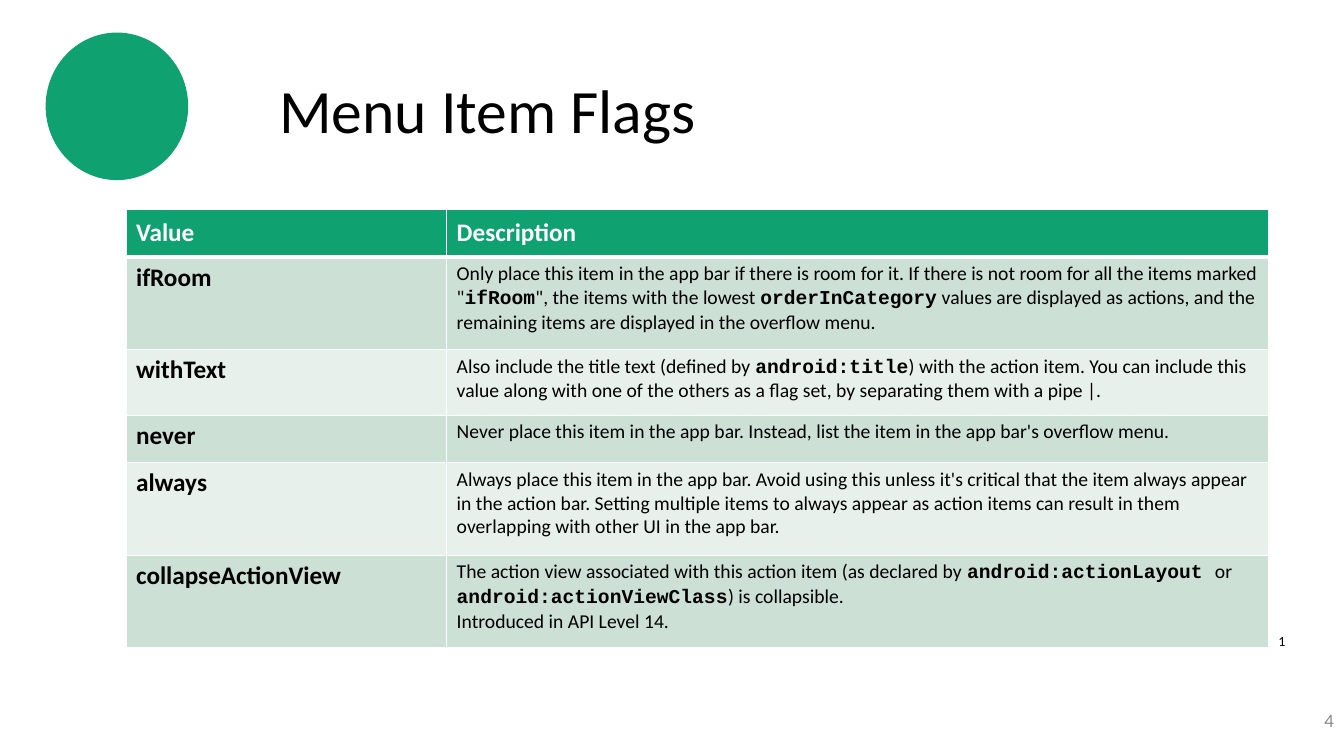
"""Build the Menu Item Flags slide: a title, a green circle and a table of flag values."""
from lxml.etree import SubElement
from pptx import Presentation
from pptx.dml.color import RGBColor
from pptx.enum.shapes import MSO_SHAPE as SHAPE
from pptx.enum.text import MSO_ANCHOR as ANCHOR, PP_ALIGN as ALIGN
from pptx.oxml.ns import qn
from pptx.util import Inches, Pt

COLORS = {"green": "10A170", "dark_band": "CCE0D5", "light_band": "E7F0EB",
          "white": "FFFFFF", "black": "000000", "grey": "888888"}

FLAGS = [
    ("ifRoom", 0.92,
     "Only place this item in the app bar if there is room for it. If there is not room for all "
     "the items marked \"`ifRoom`\", the items with the lowest `orderInCategory` values are "
     "displayed as actions, and the remaining items are displayed in the overflow menu."),
    ("withText", 0.65,
     "Also include the title text (defined by `android:title`) with the action item. You can "
     "include this value along with one of the others as a flag set, by separating them with "
     "a pipe |."),
    ("never", 0.47,
     "Never place this item in the app bar. Instead, list the item in the app bar's overflow menu."),
    ("always", 0.92,
     "Always place this item in the app bar. Avoid using this unless it's critical that the item "
     "always appear in the action bar. Setting multiple items to always appear as action items "
     "can result in them overlapping with other UI in the app bar."),
    ("collapseActionView", 0.92,
     "The action view associated with this action item (as declared by `android:actionLayout `or "
     "`android:actionViewClass`) is collapsible.\nIntroduced in API Level 14."),
]


def add_text(p, text, size, color="black", bold=False, font="Calibri"):
    """Add runs to a paragraph; parts between backticks are bold code."""
    for n, line in enumerate(text.split("\n")):
        if n:
            p.add_line_break()
        for i, part in enumerate(line.split("`")):
            r = p.add_run()
            r.text = part
            r.font.size = Pt(size)
            r.font.bold = bold or i % 2 == 1
            r.font.name = "Courier New" if i % 2 else font
            r.font.color.rgb = RGBColor.from_string(COLORS[color])


def style_cell(cell, fill, bottom=1):
    """Give a cell its white borders and its fill."""
    tcPr = cell._tc.get_or_add_tcPr()
    for side, width in (("lnL", 1), ("lnR", 1), ("lnT", 1), ("lnB", bottom)):
        ln = SubElement(tcPr, qn(f"a:{side}"), w=str(Pt(width)))
        SubElement(SubElement(ln, qn("a:solidFill")), qn("a:srgbClr"), val=COLORS["white"])
    cell.fill.solid()
    cell.fill.fore_color.rgb = RGBColor.from_string(COLORS[fill])


prs = Presentation()
prs.slide_width, prs.slide_height = Inches(13.33), Inches(7.5)
s = prs.slides.add_slide(prs.slide_layouts[6])

circle = s.shapes.add_shape(SHAPE.OVAL, Inches(0.46), Inches(0.33), Inches(1.4), Inches(1.45))
circle.shadow.inherit = False
circle.fill.solid()
circle.fill.fore_color.rgb = circle.line.color.rgb = RGBColor.from_string(COLORS["green"])
circle.line.width = Pt(1)

table = s.shapes.add_table(len(FLAGS) + 1, 2, Inches(1.25), Inches(2.08),
                           Inches(11.33), Inches(4.33)).table
for column, width in zip(table.columns, (3.18, 8.15)):
    column.width = Inches(width)

table.rows[0].height = Inches(0.47)
for cell, heading in zip(table.rows[0].cells, ("Value", "Description")):
    style_cell(cell, "green", bottom=3)
    cell.vertical_anchor = ANCHOR.MIDDLE
    add_text(cell.text_frame.paragraphs[0], heading, 18, "white", bold=True)

for n, (value, height, description) in enumerate(FLAGS, 1):
    row = table.rows[n]
    row.height = Inches(height)
    for cell in row.cells:
        style_cell(cell, "dark_band" if n % 2 else "light_band")
    add_text(row.cells[0].text_frame.paragraphs[0], value, 18, bold=True)
    add_text(row.cells[1].text_frame.paragraphs[0], description, 14)

for text, box, size, color, font, anchor, align in (
    ("Menu Item Flags", (2.67, 0.4, 9.75, 1.45), 44, "black", "Calibri", ANCHOR.MIDDLE, ALIGN.LEFT),
    ("1", (12.58, 6.23, 0.25, 0.27), 10, "black", "Calibri", ANCHOR.TOP, ALIGN.LEFT),
    ("4", (11, 6.95, 2.33, 0.4), 12, "grey", "Lato", ANCHOR.MIDDLE, ALIGN.RIGHT),
):
    tf = s.shapes.add_textbox(*map(Inches, box)).text_frame
    tf.word_wrap = True
    tf.vertical_anchor = anchor
    p = tf.paragraphs[0]
    p.alignment = align
    p.line_spacing = 0.9 if size == 44 else 1.0
    add_text(p, text, size, color, font=font)

prs.save("out.pptx")
